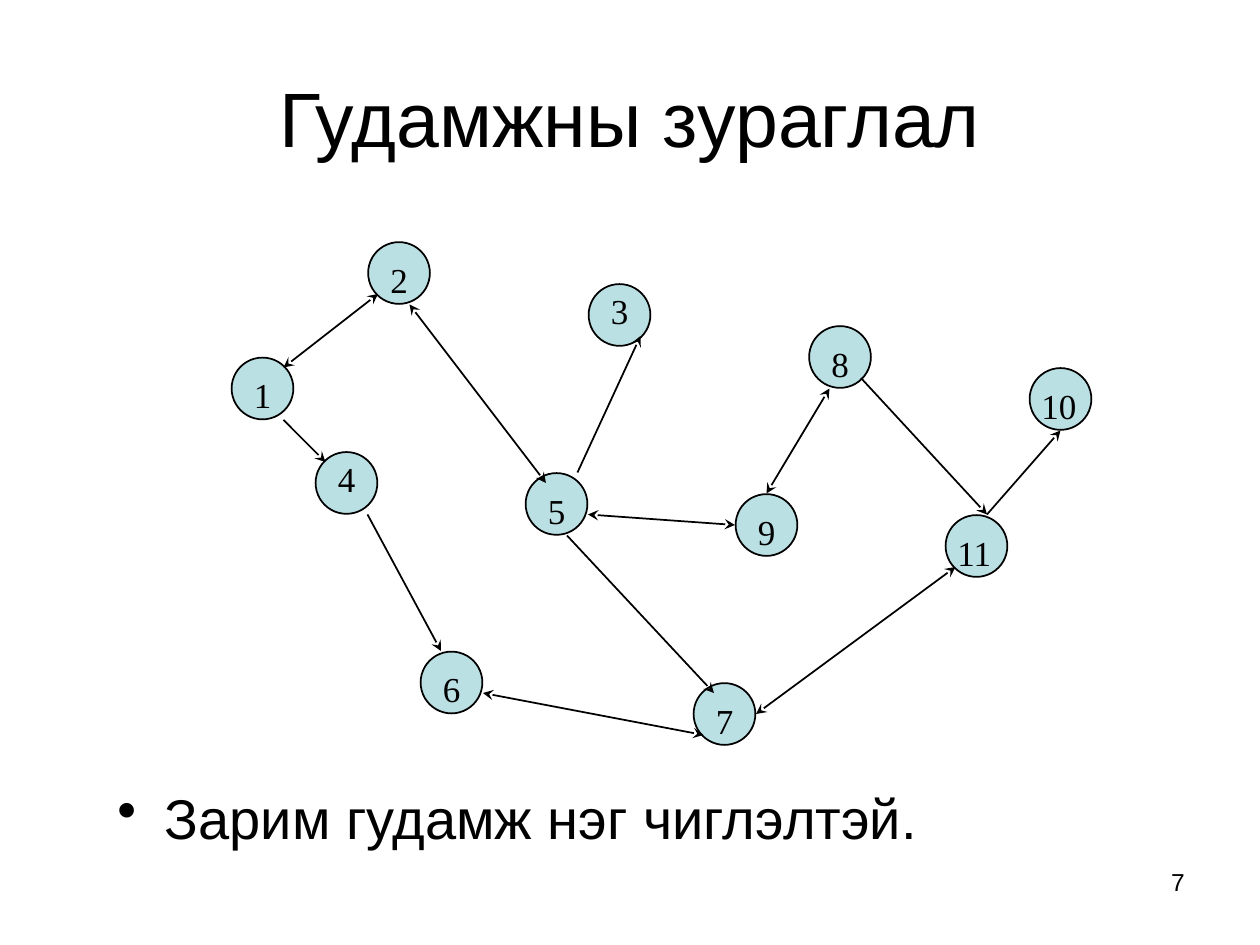
from lxml import etree
from pptx import Presentation
from pptx.dml.color import RGBColor
from pptx.enum.shapes import MSO_CONNECTOR, MSO_SHAPE
from pptx.enum.text import MSO_ANCHOR, PP_ALIGN
from pptx.oxml.ns import qn
from pptx.util import Pt

OVAL = MSO_SHAPE.OVAL
STRAIGHT = MSO_CONNECTOR.STRAIGHT
TOP, MIDDLE = MSO_ANCHOR.TOP, MSO_ANCHOR.MIDDLE
LEFT, CENTER, RIGHT = PP_ALIGN.LEFT, PP_ALIGN.CENTER, PP_ALIGN.RIGHT
BLACK, PALE_TEAL = "000000", "BBE0E3"

TITLE = "Гудамжны зураглал"
NOTE = "Зарим гудамж нэг чиглэлтэй."
PAGE_NUMBER = "7"

# Junction number: left and top of its 36-point cell
JUNCTIONS = {
    1: (132, 204), 2: (210, 138), 3: (336, 162), 8: (462, 186),
    10: (588, 210), 4: (180, 258), 5: (300, 270), 9: (420, 282),
    11: (540, 294), 6: (240, 372), 7: (396, 390),
}
RAISED_LABELS = (3, 4)
CELL_GAP, DIAMETER = 0.35, 35.3

# Start, end; every street can be driven towards its end
ONE_WAY = [
    ((162, 240), (186, 264)),
    ((210, 294), (252, 372)),
    ((330, 270), (366, 192)),
    ((324, 306), (408, 396)),
    ((492, 216), (564, 294)),
    ((564, 294), (606, 246)),
]
TWO_WAY = [
    ((216, 168), (162, 210)),
    ((234, 174), (312, 276)),
    ((276, 396), (402, 420)),
    ((474, 222), (438, 282)),
    ((336, 294), (420, 300)),
    ((432, 408), (546, 324)),
]


def color(value):
    return RGBColor.from_string(value)


def add_text(page, text, place, size, font="Arial", align=LEFT, anchor=TOP):
    box = page.shapes.add_textbox(*map(Pt, place))
    frame = box.text_frame
    frame.word_wrap = True
    frame.vertical_anchor = anchor
    frame.text = text
    para = frame.paragraphs[0]
    para.alignment = align
    span = para.runs[0]
    span.font.name = font
    span.font.size = Pt(size)
    span.font.color.rgb = color(BLACK)
    return para


def add_bullet(para, indent):
    properties = para._p.get_or_add_pPr()
    properties.set("marL", str(Pt(indent)))
    properties.set("indent", str(-Pt(indent)))
    etree.SubElement(properties, qn("a:buChar"), char="•")


def add_circle(page, left, top):
    circle = page.shapes.add_shape(
        OVAL, Pt(left + CELL_GAP), Pt(top + CELL_GAP), Pt(DIAMETER), Pt(DIAMETER))
    circle.shadow.inherit = False
    circle.fill.solid()
    circle.fill.fore_color.rgb = color(PALE_TEAL)
    circle.line.color.rgb = color(BLACK)
    circle.line.width = Pt(1)


def add_street(page, start, end, arrow_ends):
    street = page.shapes.add_connector(STRAIGHT, *map(Pt, start + end))
    street.line.color.rgb = color(BLACK)
    street.line.width = Pt(1)
    outline = street.line._get_or_add_ln()
    for arrow_end in arrow_ends:
        etree.SubElement(outline, qn(arrow_end), type="stealth")
    etree.SubElement(street._element.spPr, qn("a:effectLst"))


def add_label(page, number, left, top):
    wide = number >= 10
    x = left if wide else left + 6
    y = top if number in RAISED_LABELS else top + 6
    add_text(page, str(number), (x, y, 36 if wide else 18, 31), 20, "Times New Roman")


def main():
    deck = Presentation()
    deck.slide_width, deck.slide_height = Pt(720), Pt(540)
    page = deck.slides.add_slide(deck.slide_layouts[6])

    add_text(page, TITLE, (36, 21.6, 648, 90), 44, align=CENTER, anchor=MIDDLE)
    add_bullet(add_text(page, NOTE, (60, 444, 612, 90), 32), 27)

    for cell in JUNCTIONS.values():
        add_circle(page, *cell)
    for start, end in ONE_WAY:
        add_street(page, start, end, ["a:tailEnd"])
    for start, end in TWO_WAY:
        add_street(page, start, end, ["a:headEnd", "a:tailEnd"])
    for number, cell in JUNCTIONS.items():
        add_label(page, number, *cell)

    add_text(page, PAGE_NUMBER, (516, 492, 168, 37.5), 14, align=RIGHT)
    deck.save("out.pptx")


if __name__ == "__main__":
    main()
